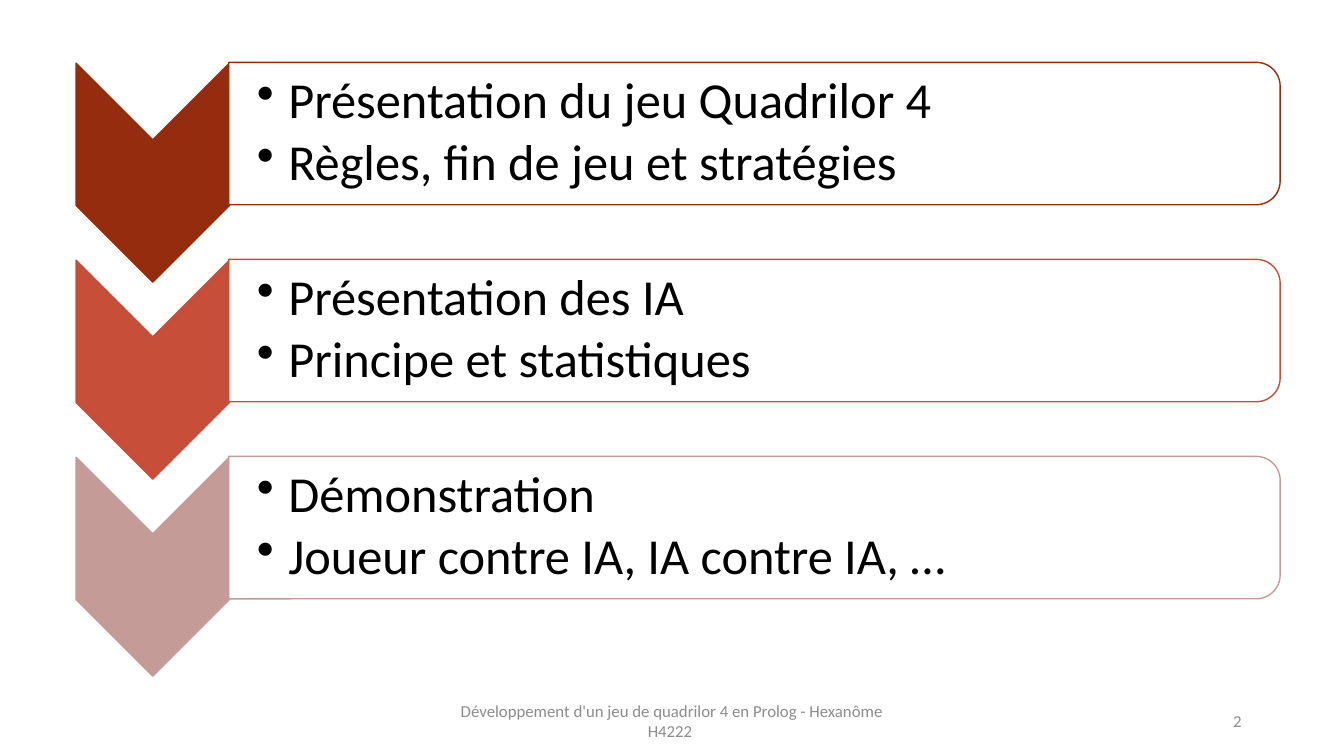
import pptx
import pptx.util
import pptx.dml.color
import pptx.enum.shapes
import pptx.enum.text
import pptx.oxml.ns
import lxml.etree

Pt = pptx.util.Pt
Kind = pptx.enum.shapes.MSO_SHAPE
Align = pptx.enum.text.PP_ALIGN
qn = pptx.oxml.ns.qn

HUES = {"rust": "962C0E", "brick": "C74F39", "rose": "C59B98",
        "white": "FFFFFF", "black": "000000", "gray": "8C8C8C"}
STEPS = [
    ("rust", ["Présentation du jeu Quadrilor 4 ", "Règles, fin de jeu et stratégies "]),
    ("brick", ["Présentation des IA", "Principe et statistiques"]),
    ("rose", ["Démonstration", "Joueur contre IA, IA contre IA, …"]),
]
FOOTS = [
    ("Développement d'un jeu de quadrilor 4 en Prolog - Hexanôme H4222 ", 318, 324, Align.CENTER),
    ("2", 678, 216, Align.RIGHT),
]
PITCH = 140.75
ARROW = (109.1, 123.3, 156.4, 109.5)
PANEL = (538.9, 95.4, 101.7, 751)
TEXT = (163.4, 746, 91.4)


def hue(name):
    return pptx.dml.color.RGBColor.from_string(HUES[name])


def turned(kind, spot, drop, fill, line):
    mid_x, mid_y, wide, high = spot
    shape = slide.shapes.add_shape(kind, Pt(mid_x - wide / 2), Pt(mid_y + drop - high / 2),
                                   Pt(wide), Pt(high))
    shape.rotation = 90
    shape.shadow.inherit = False
    shape.fill.solid()
    shape.fill.fore_color.rgb = hue(fill)
    shape.line.color.rgb = hue(line)
    shape.line.width = Pt(1)
    return shape


def box(left, top, wide, high):
    frame = slide.shapes.add_textbox(Pt(left), Pt(top), Pt(wide), Pt(high)).text_frame
    frame.word_wrap = True
    frame.vertical_anchor = pptx.enum.text.MSO_ANCHOR.MIDDLE
    return frame


def write(para, text, size, color):
    run = para.add_run()
    run.text = text
    run.font.name = "Calibri"
    run.font.size = Pt(size)
    run.font.color.rgb = hue(color)


def bullet(para):
    props = para._p.get_or_add_pPr()
    props.set("marL", str(Pt(22.5)))
    props.set("indent", str(-Pt(22.5)))
    lxml.etree.SubElement(props, qn("a:buChar")).set("char", "•")


deck = pptx.Presentation()
deck.slide_width, deck.slide_height = Pt(960), Pt(540)
slide = deck.slides.add_slide(deck.slide_layouts[6])

for text, left, wide, align in FOOTS:
    para = box(left, 500.5, wide, 28.75).paragraphs[0]
    para.alignment = align
    write(para, text, 12, "gray")

for row, (color, lines) in enumerate(STEPS):
    drop = row * PITCH
    turned(Kind.CHEVRON, ARROW, drop, color, color)
    panel = turned(Kind.ROUND_2_SAME_RECTANGLE, PANEL, drop, "white", color)
    tint = panel.fill._xPr.find(qn("a:solidFill"))[0]
    lxml.etree.SubElement(tint, qn("a:alpha")).set("val", "90000")

    left, wide, high = TEXT
    frame = box(left, PANEL[1] + drop - high / 2, wide, high)
    frame.margin_left = Pt(20)
    frame.margin_top = frame.margin_right = frame.margin_bottom = Pt(2)
    for spot, line in enumerate(lines):
        para = frame.add_paragraph() if spot else frame.paragraphs[0]
        para.line_spacing = 0.9
        para.space_after = Pt(5.4)
        bullet(para)
        write(para, line, 36, "black")

deck.save("out.pptx")
